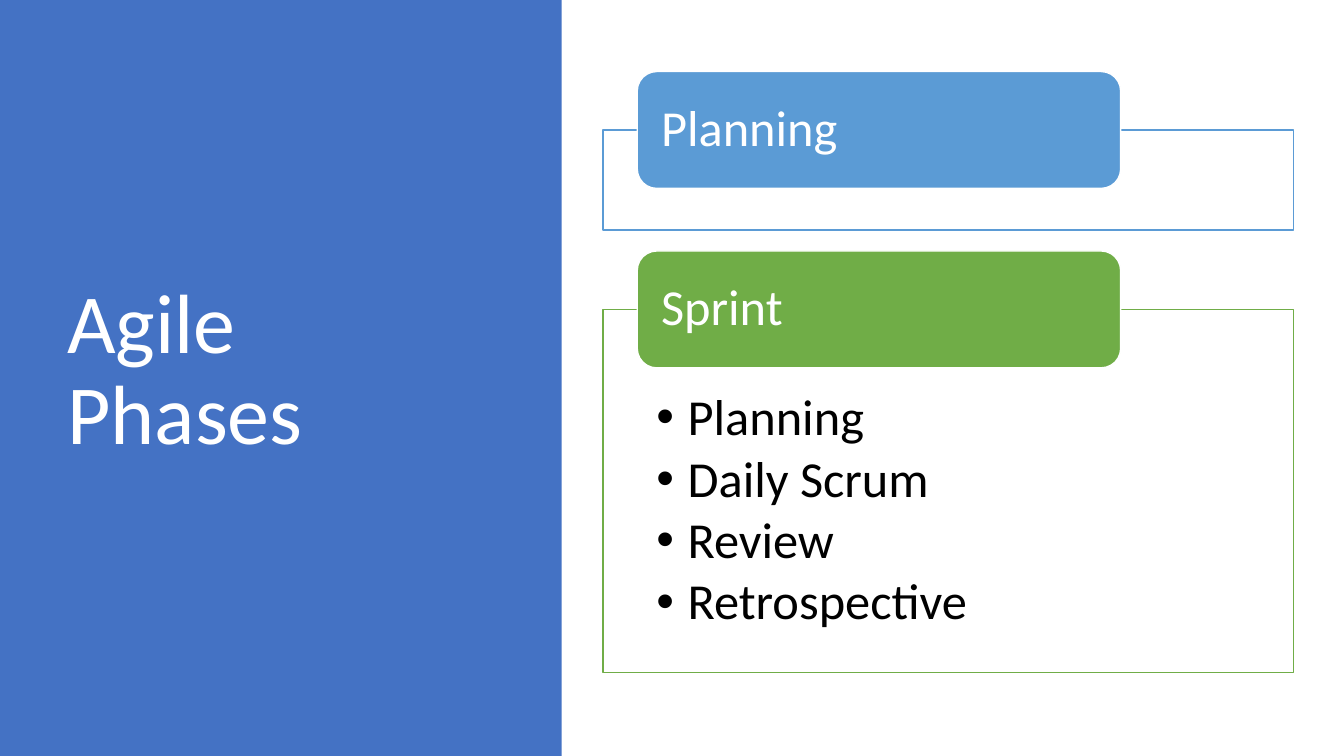
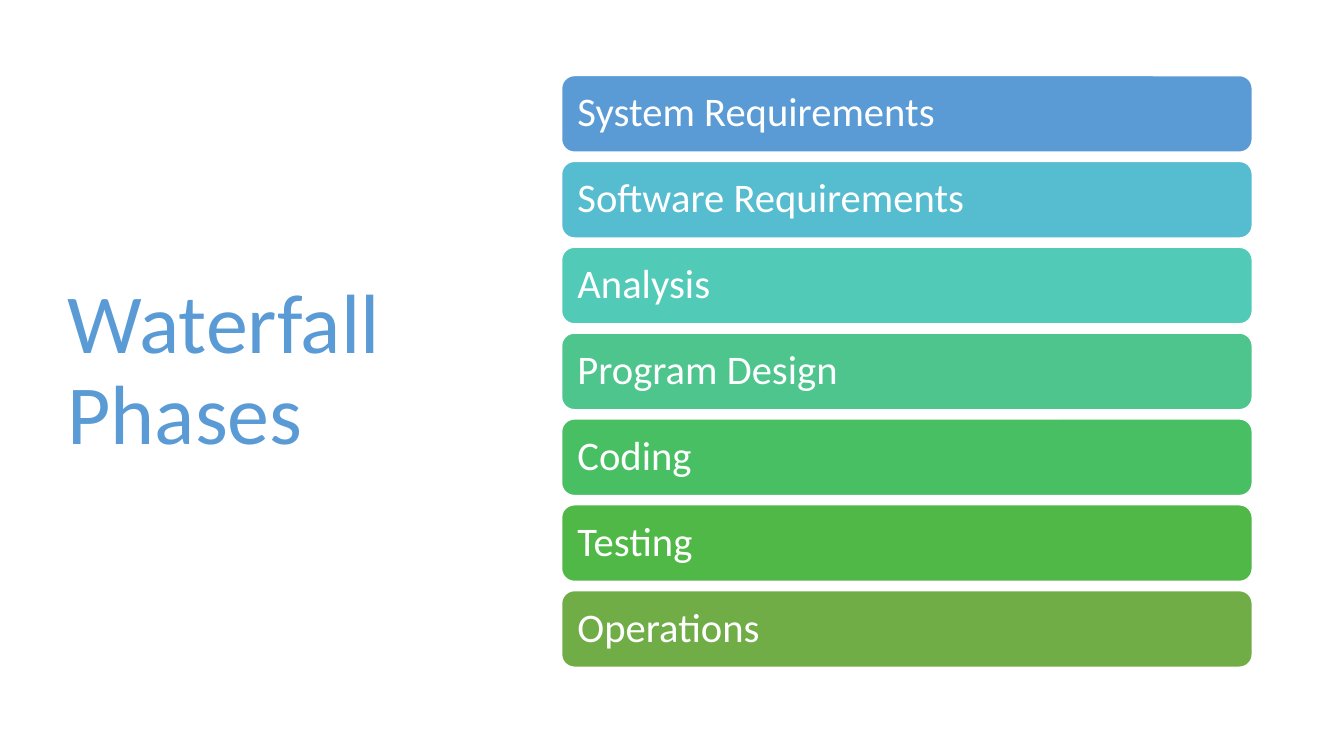
from lxml.etree import SubElement
from pptx import Presentation
from pptx.dml.color import RGBColor
from pptx.enum.shapes import MSO_SHAPE
from pptx.enum.text import MSO_ANCHOR, PP_ALIGN
from pptx.oxml.ns import qn
from pptx.util import Inches, Pt

AGILE = {
    "title": "Agile Phases",
    "phases": [
        ("Planning", "blue", 0.99, []),
        ("Sprint", "green", 3.6, ["Planning", "Daily Scrum", "Review", "Retrospective"]),
    ],
}
WATERFALL = {
    "title": "Waterfall Phases",
    "phases": [
        ("System Requirements", "blue"),
        ("Software Requirements", "cyan"),
        ("Analysis", "turquoise"),
        ("Program Design", "mint"),
        ("Coding", "emerald"),
        ("Testing", "leaf"),
        ("Operations", "green"),
    ],
}
THEME = {
    "font": "Calibri",
    "sizes": {"title": 60, "phase": 36, "step": 29},
    "colours": {
        "white": "FFFFFF", "black": "000000", "panel": "4472C4", "blue": "5B9BD5",
        "cyan": "56BCD0", "turquoise": "52CAB8", "mint": "4DC58D",
        "emerald": "49BF64", "leaf": "50B846", "green": "70AD47",
    },
}
WIDTH, HEIGHT = 13.33, 7.5
PANEL_WIDTH = 5.57
TITLE_AREA = (0.57, 0.68, 4.16, 6.02)
CONTENT_WIDTH = 6.85
FRAME_LEFT, FRAME_INSETS = 5.98, (0.53, 0.82, 0.53, 0.28)
TAB_TOP, TAB_HEIGHT, TAB_GAP = 0.71, 1.16, 0.21
TAB_INDENT, TAB_SHARE = 0.34, 0.7
STEP_TOP, STEP_LAST, STEP_HEIGHT = 0.75, 5.86, 0.76
BULLET_INDENT, BULLET_GAP = 0.31, 5


def colour(name):
    return RGBColor.from_string(THEME["colours"][name])


def apply(target, values):
    for name, value in values.items():
        setattr(target, name, value)


def write(box, lines, size, ink, insets, anchor=MSO_ANCHOR.MIDDLE, bullets=False):
    frame = box.text_frame
    sides = ("margin_left", "margin_top", "margin_right", "margin_bottom")
    apply(frame, {"word_wrap": True, "vertical_anchor": anchor,
                  **dict(zip(sides, map(Inches, insets)))})
    for index, line in enumerate(lines):
        para = frame.add_paragraph() if index else frame.paragraphs[0]
        apply(para, {"alignment": PP_ALIGN.LEFT, "line_spacing": 0.9})
        if bullets:
            add_bullet(para)
        span = para.add_run()
        span.text = line
        apply(span.font, {"name": THEME["font"], "size": Pt(THEME["sizes"][size])})
        span.font.color.rgb = colour(ink)


def add_bullet(para):
    para.space_after = Pt(BULLET_GAP)
    properties = para._p.get_or_add_pPr()
    properties.set("marL", str(Inches(BULLET_INDENT)))
    properties.set("indent", str(-Inches(BULLET_INDENT)))
    SubElement(properties, qn("a:buFont"), typeface="Arial")
    SubElement(properties, qn("a:buChar"), char="•")


def add_block(page, kind, area, fill, line=None):
    block = page.shapes.add_shape(kind, *map(Inches, area))
    block.shadow.inherit = False
    block.fill.solid()
    block.fill.fore_color.rgb = colour(fill)
    if line:
        block.line.color.rgb = colour(line)
        block.line.width = Pt(1)
    else:
        block.line.fill.background()
    return block


def add_title(page, text, ink):
    box = page.shapes.add_textbox(*map(Inches, TITLE_AREA))
    write(box, [text], "title", ink, (0.1, 0.05, 0.1, 0.05))


def build_agile(page):
    add_block(page, MSO_SHAPE.RECTANGLE, (0, 0, PANEL_WIDTH, HEIGHT), "panel")
    add_title(page, AGILE["title"], "white")
    top = TAB_TOP
    for name, accent, height, events in AGILE["phases"]:
        frame_top = top + TAB_HEIGHT / 2
        frame = add_block(page, MSO_SHAPE.RECTANGLE,
                          (FRAME_LEFT, frame_top, CONTENT_WIDTH, height), "white", accent)
        write(frame, events, "phase", "black", FRAME_INSETS, MSO_ANCHOR.TOP, True)
        tab = add_block(page, MSO_SHAPE.ROUNDED_RECTANGLE,
                        (FRAME_LEFT + TAB_INDENT, top, CONTENT_WIDTH * TAB_SHARE, TAB_HEIGHT),
                        accent, "white")
        write(tab, [name], "phase", "white", (0.18, 0, 0.18, 0))
        top = frame_top + height + TAB_GAP


def build_waterfall(page):
    add_title(page, WATERFALL["title"], "blue")
    phases = WATERFALL["phases"]
    pitch = (STEP_LAST - STEP_TOP) / (len(phases) - 1)
    for index, (name, accent) in enumerate(phases):
        area = (PANEL_WIDTH, STEP_TOP + index * pitch, CONTENT_WIDTH, STEP_HEIGHT)
        step = add_block(page, MSO_SHAPE.ROUNDED_RECTANGLE, area, accent, "white")
        write(step, [name], "step", "white", (0.12,) * 4)


def main():
    deck = Presentation()
    apply(deck, {"slide_width": Inches(WIDTH), "slide_height": Inches(HEIGHT)})
    for build in (build_agile, build_waterfall):
        build(deck.slides.add_slide(deck.slide_layouts[6]))
    deck.save("out.pptx")


if __name__ == "__main__":
    main()
